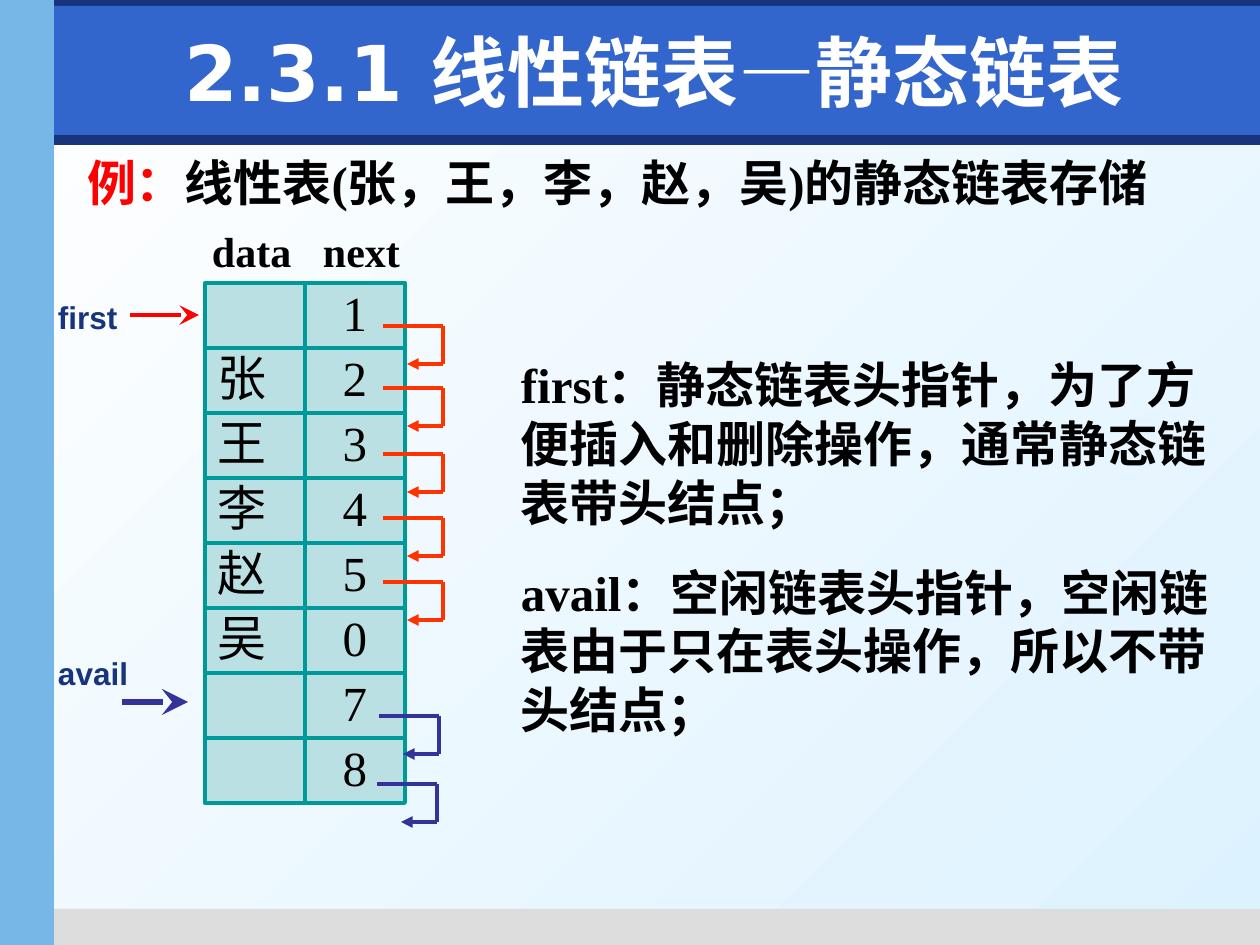
from lxml import etree
from pptx import Presentation
from pptx.dml.color import RGBColor
from pptx.enum.shapes import MSO_CONNECTOR, MSO_SHAPE
from pptx.enum.text import MSO_ANCHOR, PP_ALIGN
from pptx.oxml.ns import qn
from pptx.util import Pt

PX = 914400 / 126
RECT, STRAIGHT = MSO_SHAPE.RECTANGLE, MSO_CONNECTOR.STRAIGHT
LEFT, CENTER = PP_ALIGN.LEFT, PP_ALIGN.CENTER
TOP, MIDDLE = MSO_ANCHOR.TOP, MSO_ANCHOR.MIDDLE
SERIF, SANS, HEADING = "Times New Roman", "Arial", "DejaVu Sans"

WHITE = RGBColor(0xFF, 0xFF, 0xFF)
BLACK = RGBColor(0, 0, 0)
PALE = RGBColor(0xDD, 0xF2, 0xFF)
NAVY = RGBColor(0x17, 0x34, 0x7D)
BLUE = RGBColor(0x33, 0x66, 0xCC)
SKY = RGBColor(0x77, 0xB7, 0xE7)
GRAY = RGBColor(0xDD, 0xDD, 0xDD)
RED = RGBColor(0xFF, 0, 0)
ORANGE = RGBColor(0xFF, 0x33, 0)
INDIGO = RGBColor(0x33, 0x33, 0x99)
TEAL = RGBColor(0, 0x99, 0x99)
MINT = RGBColor(0xBB, 0xE0, 0xE3)

BANDS = [
    (0, 135, 1260, 10, NAVY),
    (54, 909, 1206, 36, GRAY),
    (0, 0, 1260, 26, NAVY),
    (54, 6, 1206, 129, BLUE),
    (0, 0, 54, 945, SKY),
]
NODES = [("", "1"), ("张", "2"), ("王", "3"), ("李", "4"),
         ("赵", "5"), ("吴", "0"), ("", "7"), ("", "8")]
LINKS = [(178, 43, ORANGE), (178, 105, ORANGE), (178, 171, ORANGE),
         (178, 235, ORANGE), (178, 299, ORANGE),
         (174, 433, INDIGO), (172, 501, INDIGO)]


def px(*lengths):
    """Turn px lengths into EMU."""
    return [round(length * PX) for length in lengths]


def write(shape, paragraphs, size=28, font=SERIF, color=BLACK, bold=True, align=LEFT,
          anchor=TOP, margins=(13, 6, 13, 6), gap=0, tab=0):
    """Fill a shape with paragraphs, each a list of (text, colour or None) runs."""
    frame = shape.text_frame
    frame.word_wrap, frame.vertical_anchor = True, anchor
    (frame.margin_left, frame.margin_top,
     frame.margin_right, frame.margin_bottom) = px(*margins)
    for index, runs in enumerate(paragraphs):
        paragraph = frame.add_paragraph() if index else frame.paragraphs[0]
        paragraph.alignment = align
        paragraph.space_before = Pt(gap if index else 0)
        if tab:
            stops = etree.SubElement(paragraph._p.get_or_add_pPr(), qn("a:tabLst"))
            etree.SubElement(stops, qn("a:tab"), pos=str(px(tab)[0]), algn="l")
        for words, run_color in runs:
            run = paragraph.add_run()
            run.text = words
            run.font.size, run.font.name, run.font.bold = Pt(size), font, bold
            run.font.color.rgb = run_color or color


def add_text(slide, box, paragraphs, **style):
    """Add a text box."""
    write(slide.shapes.add_textbox(*px(*box)), paragraphs, **style)


def add_rect(slide, box, fill, border=None):
    """Add a flat rectangle with an optional border colour."""
    rect = slide.shapes.add_shape(RECT, *px(*box))
    rect.shadow.inherit = False
    rect.fill.solid()
    rect.fill.fore_color.rgb = fill
    if border is None:
        rect.line.fill.background()
    else:
        rect.line.color.rgb = border
        rect.line.width = Pt(2.25)
    return rect


def add_line(slide, start, end, color, width=2.25, head=None, head_size="med"):
    """Add a straight line with an optional arrowhead at its end."""
    line = slide.shapes.add_connector(STRAIGHT, *px(*start, *end))
    line.line.color.rgb = color
    line.line.width = Pt(width)
    if head:
        etree.SubElement(line.line._get_or_add_ln(), qn("a:tailEnd"),
                         type=head, w=head_size, len=head_size)
    etree.SubElement(line._element.spPr, qn("a:effectLst"))


def draw_backdrop(slide):
    """Paint the gradient and put the colour bands behind everything."""
    fill = slide.background.fill
    fill.gradient()
    fill.gradient_angle = 315
    for stop, color in zip(fill.gradient_stops, (WHITE, PALE)):
        stop.color.rgb = color
    for order, (*box, color) in enumerate(BANDS):
        band = add_rect(slide, box, color)
        slide.shapes._spTree.insert(2 + order, band._element)


def draw_title(slide, box):
    """Place and format the title."""
    title = slide.shapes.title
    title.left, title.top, title.width, title.height = px(*box)
    write(title, [[("2.3.1 线性链表—静态链表", None)]], size=44, font=HEADING,
          color=WHITE, align=CENTER, anchor=MIDDLE)


def draw_link(slide, x, y, color):
    """Draw a hooked link from one node to the next."""
    corners = [(x, y), (x + 60, y), (x + 60, y + 38), (x + 24, y + 38)]
    heads = [None, None, "triangle"]
    for start, end, head in zip(corners, corners[1:], heads):
        add_line(slide, start, end, color, head=head)


def draw_storage(slide, left, top, cell_width, row_height):
    """Draw the node array with its column names and links."""
    add_text(slide, (left - 6, top - 63, 212, 63), [[("data\tnext", None)]],
             size=24, margins=(13, 6, 0, 6), tab=111)
    for row, node in enumerate(NODES):
        for column, (value, align) in enumerate(zip(node, (LEFT, CENTER))):
            cell = add_rect(slide, (left + column * cell_width, top + row * row_height,
                                    cell_width, row_height), MINT, TEAL)
            if value:
                write(cell, [[(value, None)]], bold=False, align=align,
                      margins=(13, 0, 13, 0))
    for x, y, color in LINKS:
        draw_link(slide, left + x, top + y, color)


def draw_pointer(slide, name, box, start, length, color, width):
    """Draw a named pointer and its arrow."""
    add_text(slide, box, [[(name, None)]], size=18, font=SANS, color=NAVY,
             margins=(13, 6, 0, 6))
    add_line(slide, start, (start[0] + length, start[1]), color, width, "stealth", "lg")


def main():
    """Build the slide and save it."""
    deck = Presentation()
    deck.slide_width, deck.slide_height = px(1260, 945)
    slide = deck.slides.add_slide(deck.slide_layouts[5])
    draw_backdrop(slide)
    draw_title(slide, (74, 16, 1160, 110))
    add_text(slide, (74, 147, 1156, 72),
             [[("例：", RED), ("线性表(张，王，李，赵，吴)的静态链表存储", None)]])
    draw_storage(slide, 205, 283, 100, 65)
    draw_pointer(slide, "first", (45, 292, 84, 50), (130, 315), 69, RED, 2.25)
    draw_pointer(slide, "avail", (45, 648, 95, 50), (122, 702), 66, INDIGO, 3)
    add_text(slide, (508, 349, 731, 397), [
        [("first：静态链表头指针，为了方便插入和删除操作，通常静态链表带头结点；", None)],
        [("avail：空闲链表头指针，空闲链表由于只在表头操作，所以不带头结点；", None)],
    ], gap=17.5)
    deck.save("out.pptx")


if __name__ == "__main__":
    main()
